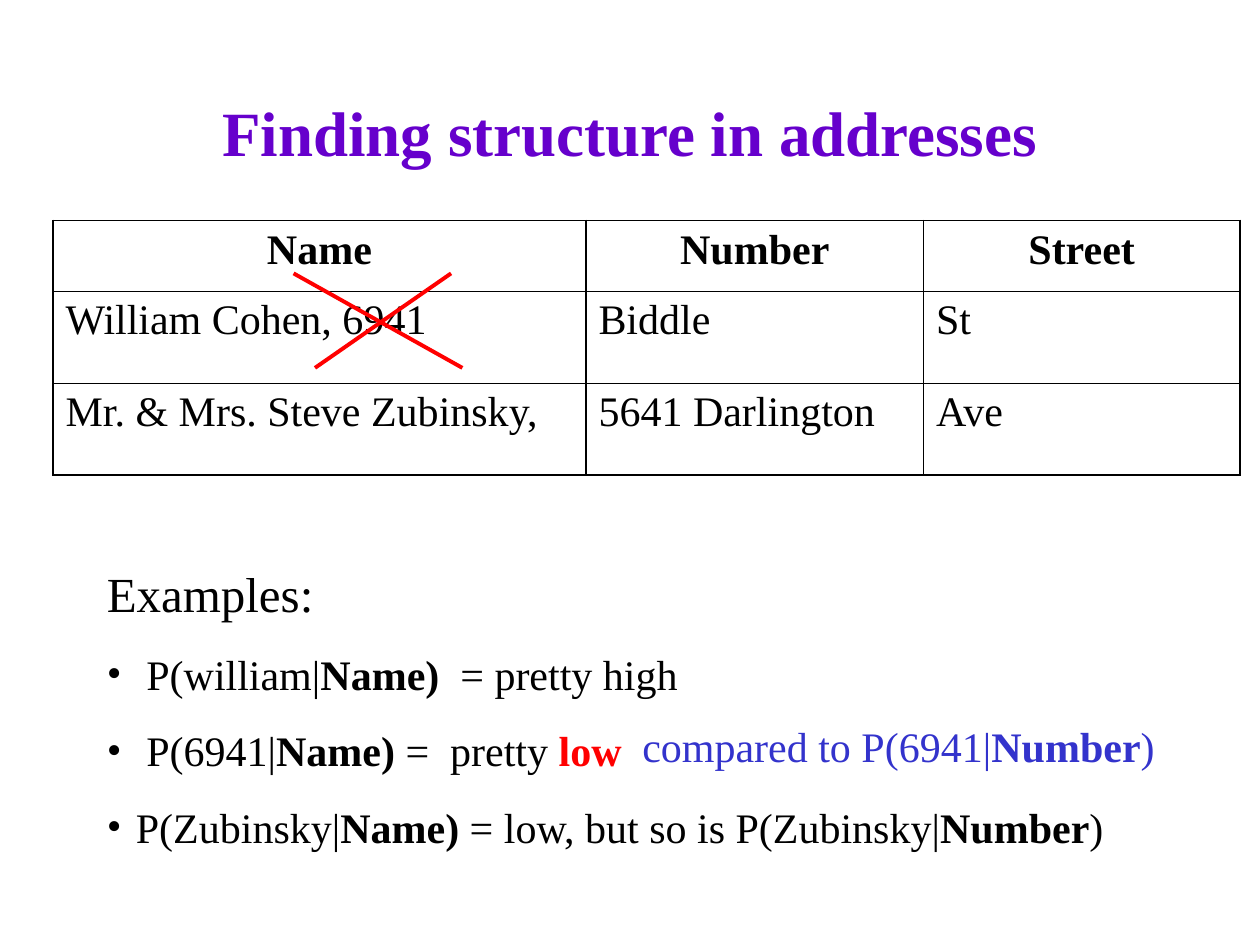
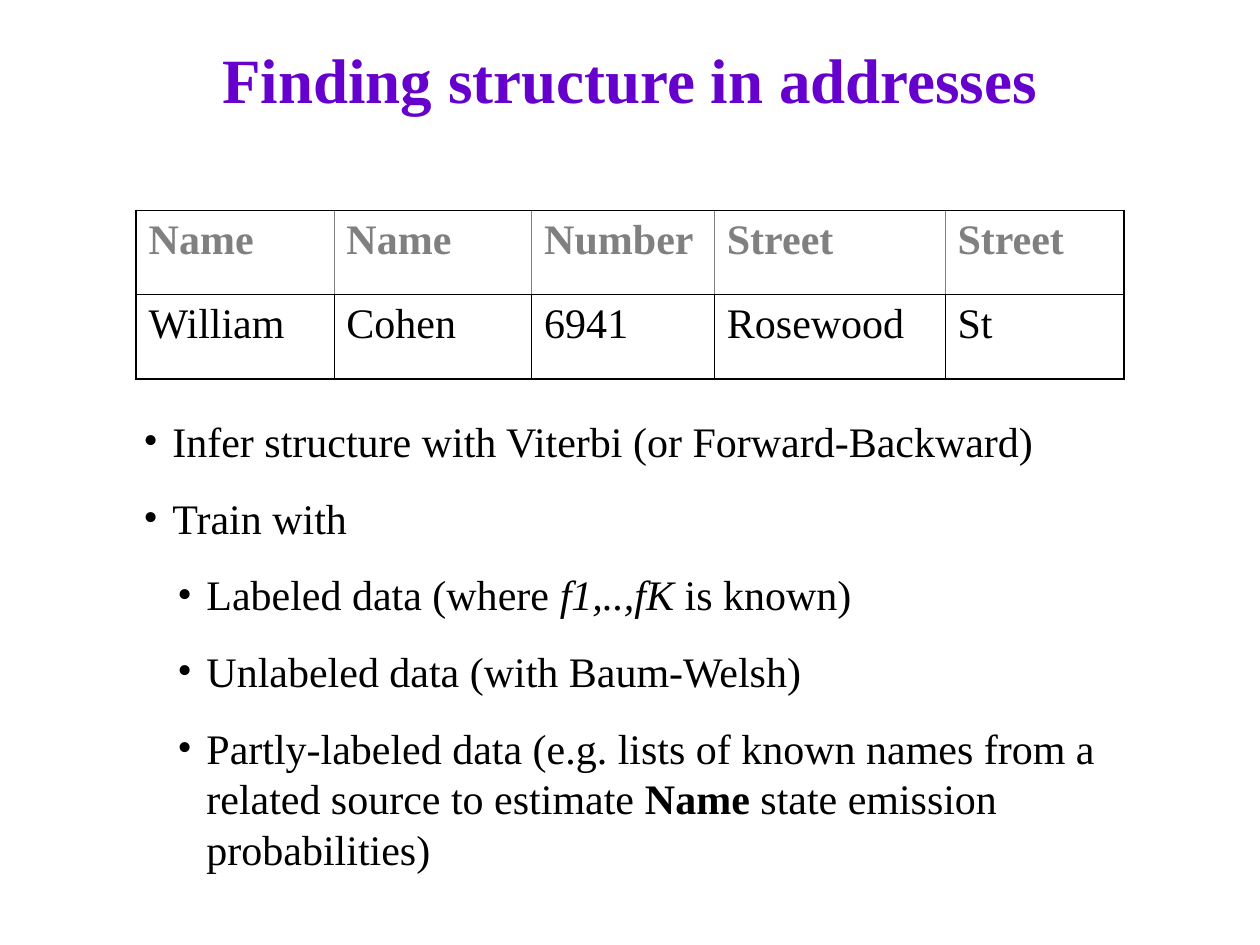
import pptx
import pptx.util
import pptx.dml.color
import pptx.enum.text
import pptx.enum.shapes
import pptx.oxml
from lxml import etree

Inches = pptx.util.Inches
Pt = pptx.util.Pt
ALIGN = pptx.enum.text.PP_ALIGN
FONT = "Times New Roman"
BLACK, WHITE, RED, BLUE, PURPLE = "000000", "FFFFFF", "FF0000", "3333CC", "6600CC"
THICK, THIN = 1.08, 0.45


def rgb(code):
    return pptx.dml.color.RGBColor.from_string(code)


def write(par, runs, size=24, color=BLACK):
    """Add (text, style) runs; style letters are b bold, i italic, r red."""
    for text, style in runs:
        run = par.add_run()
        run.text = text
        font = run.font
        font.name, font.size = FONT, Pt(size)
        font.bold, font.italic = "b" in style, "i" in style
        font.color.rgb = rgb(RED if "r" in style else color)


deck = pptx.Presentation()
deck.slide_width, deck.slide_height = Inches(10), Inches(7.5)

# Each page: title top, table place, columns, rows, inner upright width, header alignment,
# text place, and lines as (level, size, runs), where level 0 has no bullet.
pages = [
    dict(
        top=0.42, at=(0.42, 1.75), cols=(4.23, 2.68, 2.51), rows=(0.56, 0.73, 0.73),
        inner=THICK, head=ALIGN.CENTER,
        cells=[("Name", "Number", "Street"),
               ("William Cohen, 6941", "Biddle", "St"),
               ("Mr. & Mrs. Steve Zubinsky,", "5641 Darlington", "Ave")],
        body=(0.75, 4.42, 8.75, 2.39),
        lines=[
            (0, 28, [("Examples: ", "")]),
            (1, 24, [(" P(william|", ""), ("Name) ", "b"), (" = pretty high", "")]),
            (1, 24, [(" P(6941|", ""), ("Name) ", "b"), ("=  pretty ", ""), ("low", "br")]),
            (1, 24, [("P(Zubinsky|", ""), ("Name) ", "b"),
                     ("= low, but so is P(Zubinsky|", ""), ("Number", "b"), (")", "")]),
        ]),
    dict(
        top=0, at=(1.08, 1.67), cols=(1.57, 1.57, 1.45, 1.83, 1.42), rows=(0.67, 0.67),
        inner=THIN, head=ALIGN.LEFT,
        cells=[("Name", "Name", "Number", "Street", "Street"),
               ("William", "Cohen", "6941", "Rosewood", "St")],
        body=(1.04, 3.25, 7.92, 3.74),
        lines=[
            (1, 24, [("Infer structure with Viterbi (or Forward-Backward)", "")]),
            (1, 24, [("Train with", "")]),
            (2, 24, [("Labeled data (where ", ""), ("f1,..,fK ", "i"), ("is known)", "")]),
            (2, 24, [("Unlabeled data (with Baum-Welsh)", "")]),
            (2, 24, [("Partly-labeled data (e.g. lists of known names from a related "
                      "source to estimate ", ""), ("Name ", "b"),
                     ("state emission probabilities)", "")]),
        ]),
]

slides = []
for page in pages:
    slide = deck.slides.add_slide(deck.slide_layouts[6])
    slides.append(slide)

    title = slide.shapes.add_textbox(
        Inches(0.75), Inches(page["top"]), Inches(8.5), Inches(1.25)).text_frame
    title.word_wrap = True
    title.vertical_anchor = pptx.enum.text.MSO_ANCHOR.MIDDLE
    title.paragraphs[0].alignment = ALIGN.CENTER
    write(title.paragraphs[0], [("Finding structure in addresses", "b")], 36, PURPLE)

    cols, rows = page["cols"], page["rows"]
    left, top = page["at"]
    grid = slide.shapes.add_table(
        len(rows), len(cols), Inches(left), Inches(top),
        Inches(sum(cols)), Inches(sum(rows))).table
    grid.first_row = grid.horz_banding = False
    for col, width in zip(grid.columns, cols):
        col.width = Inches(width)
    for row, height in zip(grid.rows, rows):
        row.height = Inches(height)
    for y, words in enumerate(page["cells"]):
        for x, word in enumerate(words):
            cell = grid.cell(y, x)
            par = cell.text_frame.paragraphs[0]
            par.space_before = Pt(6)
            par.alignment = ALIGN.LEFT if y else page["head"]
            write(par, [(word, "" if y else "b")])
            edges = {
                "lnL": page["inner"] if x else THICK,
                "lnR": page["inner"] if x < len(cols) - 1 else THICK,
                "lnT": THIN if y else THICK,
                "lnB": THIN if y < len(rows) - 1 else THICK,
            }
            props = cell._tc.get_or_add_tcPr()
            for tag, width in edges.items():
                edge = etree.SubElement(
                    props, pptx.oxml.ns.qn("a:" + tag), w=str(int(Pt(width))))
                fill = etree.SubElement(edge, pptx.oxml.ns.qn("a:solidFill"))
                etree.SubElement(fill, pptx.oxml.ns.qn("a:srgbClr"), val=BLACK)
            cell.fill.background()

    body = slide.shapes.add_textbox(*map(Inches, page["body"])).text_frame
    body.word_wrap = True
    for n, (level, size, runs) in enumerate(page["lines"]):
        par = body.add_paragraph() if n else body.paragraphs[0]
        par.space_before = Pt(15)
        write(par, runs, size)
        if level:
            par.level = level - 1
            props = par._p.get_or_add_pPr()
            props.set("marL", str(Inches((0.23, 0.5)[level - 1])))
            props.set("indent", str(Inches(-0.23)))
            etree.SubElement(props, pptx.oxml.ns.qn("a:buFont"), typeface=FONT)
            etree.SubElement(props, pptx.oxml.ns.qn("a:buChar"), char="•")

first, second = slides

# Red cross over the wrong house number
cross = first.shapes.add_group_shape()
for start, end in ((2.33, 3.67), (3.58, 2.5)):
    line = cross.shapes.add_connector(
        pptx.enum.shapes.MSO_CONNECTOR.STRAIGHT,
        Inches(start), Inches(2.17), Inches(end), Inches(2.92))
    line.line.color.rgb = rgb(RED)
    line.line.width = Pt(2.25)
    etree.SubElement(line._element.spPr, pptx.oxml.ns.qn("a:effectLst"))

note = first.shapes.add_textbox(Inches(5), Inches(5.67), Inches(4.3), Inches(0.5)).text_frame
note.word_wrap = False
note.auto_size = pptx.enum.text.MSO_AUTO_SIZE.SHAPE_TO_FIT_TEXT
write(note.paragraphs[0],
      [("compared to P(6941|", ""), ("Number", "b"), (")", "")], color=BLUE)

# Half-clear veil that greys the header row, kept behind the body text
page = pages[1]
veil = second.shapes.add_shape(
    pptx.enum.shapes.MSO_SHAPE.RECTANGLE, *map(Inches, page["at"]),
    Inches(sum(page["cols"])), Inches(page["rows"][0]))
veil.shadow.inherit = False
veil.fill.solid()
veil.fill.fore_color.rgb = rgb(WHITE)
tint = veil._element.spPr.find(".//" + pptx.oxml.ns.qn("a:srgbClr"))
etree.SubElement(tint, pptx.oxml.ns.qn("a:alpha"), val="50000")
veil.line.color.rgb = rgb(BLACK)
veil.line.width = Pt(0.75)
second.shapes[-2]._element.addprevious(veil._element)

deck.save("out.pptx")
